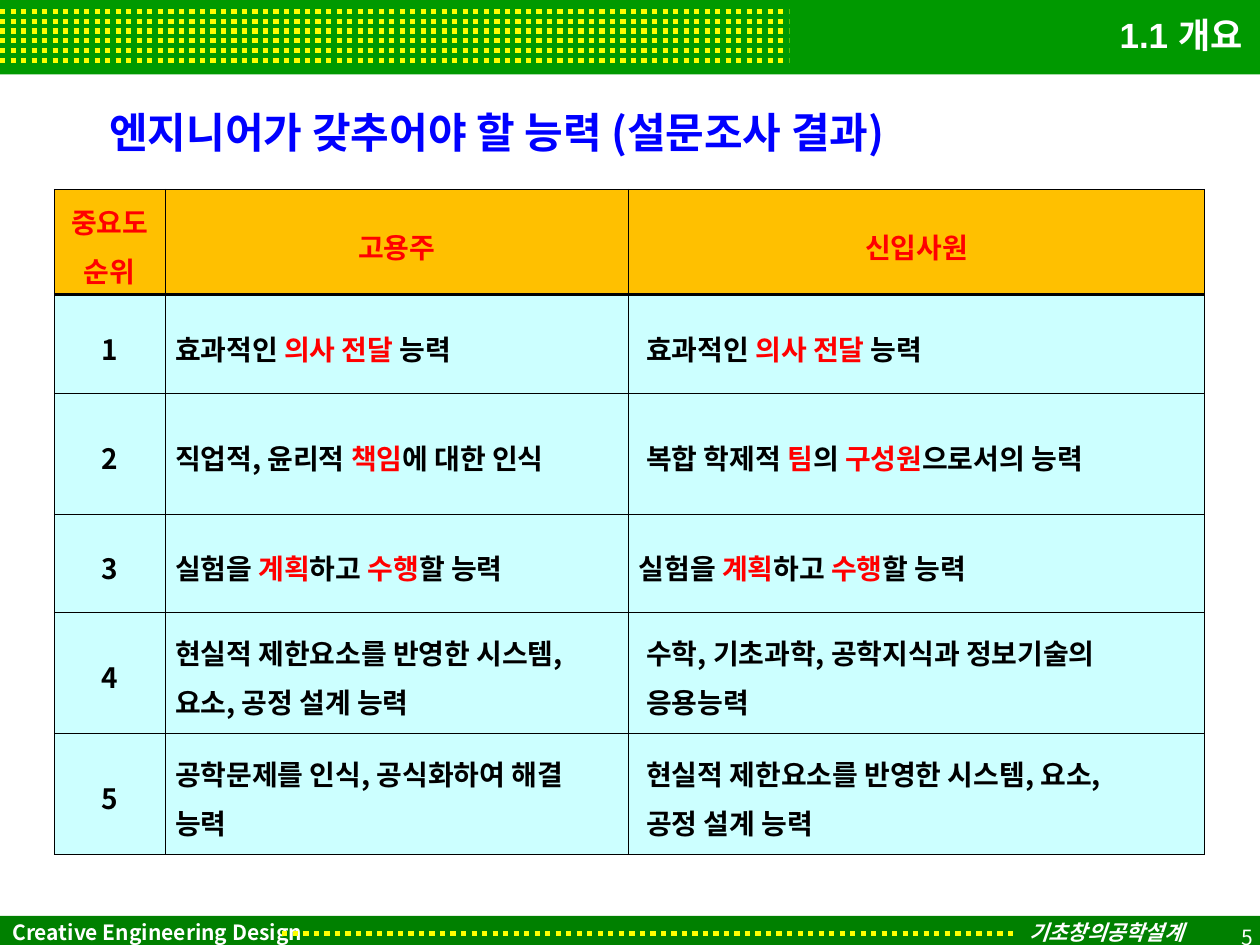
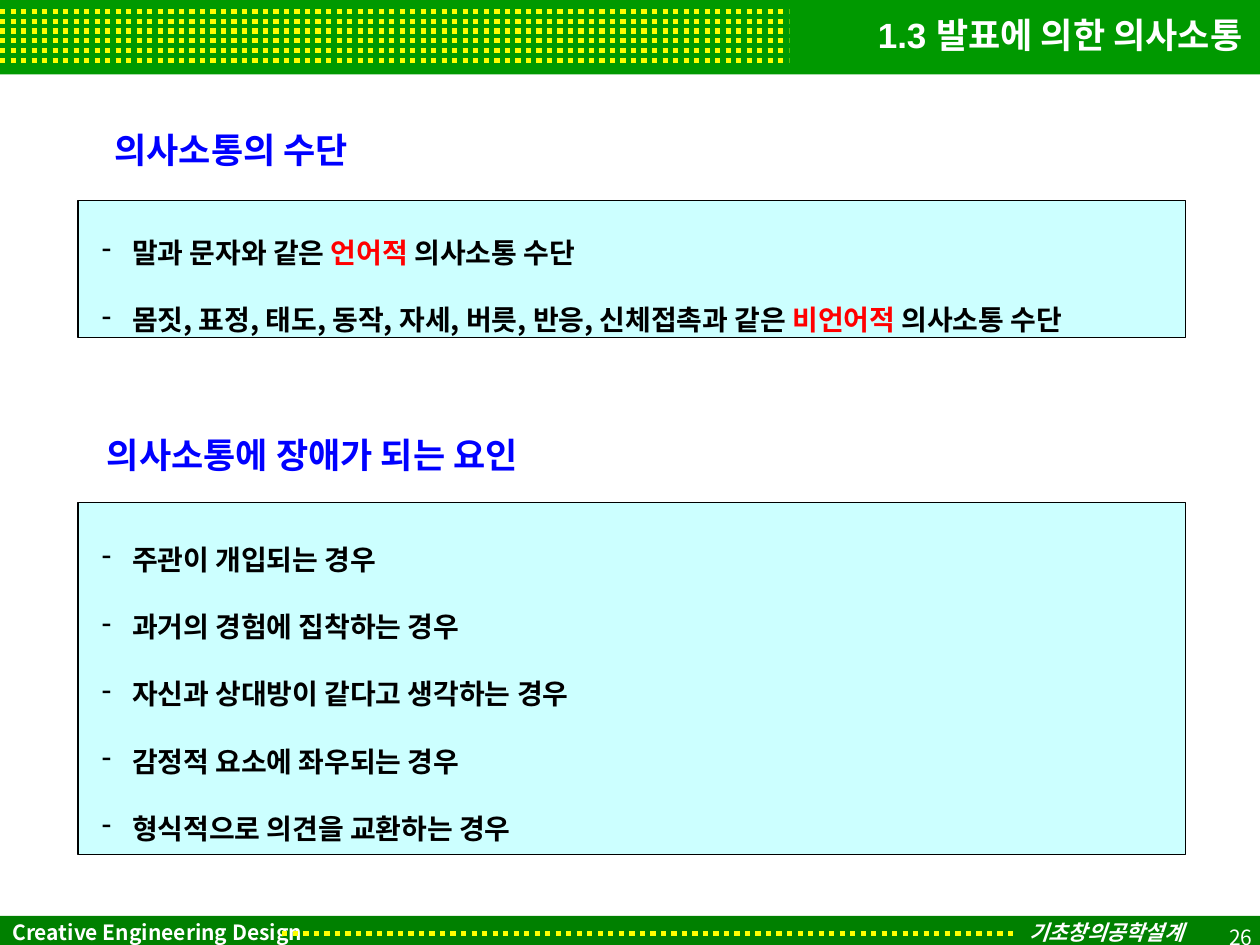
from dataclasses import dataclass
from typing import NamedTuple

import pptx
import pptx.dml.color
import pptx.enum.dml
import pptx.enum.shapes
import pptx.enum.text
import pptx.oxml
import pptx.oxml.ns
import pptx.util
from lxml import etree
from pptx.util import Inches

ALIGN = pptx.enum.text.PP_ALIGN
ANCHOR = pptx.enum.text.MSO_ANCHOR
qn = pptx.oxml.ns.qn


@dataclass(frozen=True)
class Theme:
    body_font: str = "Noto Sans CJK KR"
    title_font: str = "Arial"
    band: str = "009900"
    footer: str = "008000"
    dots: str = "FFFF00"
    white: str = "FFFFFF"
    ink: str = "000000"
    heading: str = "0000FF"
    accent: str = "FF0000"
    table_head: str = "FFC000"
    panel: str = "CCFFFF"
    size_large: int = 24
    size_title: int = 20
    size_body: int = 16
    size_footer: int = 12
    dot_width: float = 3
    panel_line: float = 0.75
    grid_line: float = 0.28
    head_line: float = 1.98


THEME = Theme()


class Box(NamedTuple):
    left: float
    top: float
    width: float
    height: float

    def lengths(self) -> list:
        return [Inches(value) for value in self]


@dataclass(frozen=True)
class TextStyle:
    size: int
    color: str
    font: str = THEME.body_font
    bold: bool = True
    italic: bool = False
    align: ALIGN = ALIGN.LEFT
    spacing: float = 1.0


TITLE = TextStyle(THEME.size_title, THEME.white, THEME.title_font, align=ALIGN.RIGHT)
HEADING_LARGE = TextStyle(THEME.size_large, THEME.heading)
HEADING = TextStyle(THEME.size_title, THEME.heading)
PANEL_TEXT = TextStyle(THEME.size_body, THEME.ink, spacing=2.0)
CELL_TEXT = TextStyle(THEME.size_body, THEME.ink, spacing=1.2)
RANK_TEXT = TextStyle(THEME.size_body, THEME.ink, align=ALIGN.CENTER, spacing=1.2)
HEAD_TEXT = TextStyle(THEME.size_body, THEME.accent, align=ALIGN.CENTER, spacing=1.2)
COURSE = TextStyle(THEME.size_footer, THEME.white)
COURSE_KOREAN = TextStyle(THEME.size_footer, THEME.white, THEME.title_font, italic=True)
PAGE_NUMBER = TextStyle(THEME.size_footer, THEME.white, bold=False,
                        align=ALIGN.RIGHT, spacing=1.3)


class Panel(NamedTuple):
    heading: str
    heading_box: Box
    box: Box
    anchor: ANCHOR
    items: list[str]


class Ability(NamedTuple):
    employer: str
    newcomer: str
    newcomer_margin: float = 0.14


ABILITIES = [
    Ability("효과적인 *의사 전달* 능력", "효과적인 *의사 전달* 능력"),
    Ability("직업적, 윤리적 *책임*에 대한 인식", "복합 학제적 *팀*의 *구성원*으로서의 능력"),
    Ability("실험을 *계획*하고 *수행*할 능력", "실험을 *계획*하고 *수행*할 능력", 0.08),
    Ability("현실적 제한요소를 반영한 시스템,\n요소, 공정 설계 능력",
            "수학, 기초과학, 공학지식과 정보기술의\n응용능력"),
    Ability("공학문제를 인식, 공식화하여 해결\n능력",
            "현실적 제한요소를 반영한 시스템, 요소,\n공정 설계 능력"),
]
TABLE_HEADS = ["중요도\n순위", "고용주", "신입사원"]
TABLE_BOX = Box(0.43, 1.5, 9.14, 5.28)
COLUMN_WIDTHS = [0.88, 3.68, 4.57]
ROW_HEIGHTS = [0.84, 0.78, 0.96, 0.78, 0.96, 0.96]

PANELS = [
    Panel("의사소통의 수단", Box(0.81, 0.97, 6.69, 0.44),
          Box(0.62, 1.59, 8.79, 1.09), ANCHOR.MIDDLE,
          ["말과 문자와 같은 *언어적* 의사소통 수단",
           "몸짓, 표정, 태도, 동작, 자세, 버릇, 반응, 신체접촉과 같은 *비언어적* 의사소통 수단"]),
    Panel("의사소통에 장애가 되는 요인", Box(0.75, 3.39, 6.69, 0.44),
          Box(0.62, 3.99, 8.79, 2.79), ANCHOR.TOP,
          ["주관이 개입되는 경우", "과거의 경험에 집착하는 경우",
           "자신과 상대방이 같다고 생각하는 경우", "감정적 요소에 좌우되는 경우",
           "형식적으로 의견을 교환하는 경우"]),
]


def rgb(code: str) -> pptx.dml.color.RGBColor:
    return pptx.dml.color.RGBColor.from_string(code)


def write(frame, text: str, style: TextStyle) -> None:
    """Fill a text frame; newlines part paragraphs, *stars* mark accented words."""
    for index, line in enumerate(text.split("\n")):
        paragraph = frame.add_paragraph() if index else frame.paragraphs[0]
        paragraph.alignment = style.align
        paragraph.line_spacing = style.spacing
        for part, words in enumerate(line.split("*")):
            if not words:
                continue
            run = paragraph.add_run()
            run.text = words
            run.font.size = pptx.util.Pt(style.size)
            run.font.bold = style.bold
            run.font.italic = style.italic
            run.font.color.rgb = rgb(THEME.accent if part % 2 else style.color)
            run.font.name = style.font
            east_asian = etree.SubElement(run.font._element, qn("a:ea"))
            east_asian.set("typeface", THEME.body_font)


def add_text(slide, box: Box, text: str, style: TextStyle,
             anchor: ANCHOR = ANCHOR.TOP) -> None:
    frame = slide.shapes.add_textbox(*box.lengths()).text_frame
    frame.word_wrap = True
    frame.vertical_anchor = anchor
    write(frame, text, style)


def add_rectangle(slide, box: Box, fill: str, outline: str | None = None):
    rectangle = slide.shapes.add_shape(
        pptx.enum.shapes.MSO_SHAPE.RECTANGLE, *box.lengths())
    rectangle.shadow.inherit = False
    rectangle.fill.solid()
    rectangle.fill.fore_color.rgb = rgb(fill)
    if outline:
        rectangle.line.color.rgb = rgb(outline)
        rectangle.line.width = pptx.util.Pt(THEME.panel_line)
    else:
        rectangle.line.fill.background()
    rectangle.text_frame.word_wrap = True
    return rectangle


def add_dotted_line(slide, start: float, end: float, height: float) -> None:
    dots = slide.shapes.add_connector(
        pptx.enum.shapes.MSO_CONNECTOR.STRAIGHT,
        Inches(start), Inches(height), Inches(end), Inches(height))
    dots.line.color.rgb = rgb(THEME.dots)
    dots.line.width = pptx.util.Pt(THEME.dot_width)
    dots.line.dash_style = pptx.enum.dml.MSO_LINE.ROUND_DOT
    etree.SubElement(dots._element.spPr, qn("a:effectLst"))


def add_framed_slide(deck, title: str, page: int):
    """Add a slide with the title band, the footer and the page number."""
    slide = deck.slides.add_slide(deck.slide_layouts[6])
    add_rectangle(slide, Box(0, 0, 10, 0.59), THEME.band)
    first, last, rows = 0.09, 0.48, 6
    for row in range(rows):
        add_dotted_line(slide, 0, 6.26, first + (last - first) * row / (rows - 1))
    footer = add_rectangle(slide, Box(0, 7.27, 10, 0.26), THEME.footer)
    footer.text_frame.vertical_anchor = ANCHOR.MIDDLE
    write(footer.text_frame, "Creative Engineering Design", COURSE)
    add_dotted_line(slide, 2.24, 8.07, 7.41)
    add_text(slide, Box(8.07, 7.29, 1.45, 0.21), "기초창의공학설계",
             COURSE_KOREAN, ANCHOR.MIDDLE)
    add_text(slide, Box(0.51, 0, 9.45, 0.54), title, TITLE, ANCHOR.MIDDLE)
    add_text(slide, Box(7.79, 7.21, 2.25, 0.4), str(page), PAGE_NUMBER, ANCHOR.MIDDLE)
    return slide


def set_borders(cell, top: float, bottom: float) -> None:
    properties = cell._tc.get_or_add_tcPr()
    widths = {"L": THEME.grid_line, "R": THEME.grid_line, "T": top, "B": bottom}
    for index, (side, width) in enumerate(widths.items()):
        border = etree.Element(qn(f"a:ln{side}"), w=str(pptx.util.Pt(width)))
        fill = etree.SubElement(border, qn("a:solidFill"))
        etree.SubElement(fill, qn("a:srgbClr"), val=THEME.ink)
        properties.insert(index, border)


def fill_cell(cell, text: str, style: TextStyle, row: int, margin: float = 0.02) -> None:
    cell.margin_right = cell.margin_top = cell.margin_bottom = Inches(0.02)
    cell.margin_left = Inches(margin)
    cell.vertical_anchor = ANCHOR.MIDDLE
    cell.fill.solid()
    cell.fill.fore_color.rgb = rgb(THEME.panel if row else THEME.table_head)
    set_borders(cell,
                top=THEME.head_line if row == 1 else THEME.grid_line,
                bottom=THEME.head_line if row == 0 else THEME.grid_line)
    write(cell.text_frame, text, style)


def add_ability_table(slide) -> None:
    table = slide.shapes.add_table(
        len(ROW_HEIGHTS), len(COLUMN_WIDTHS), *TABLE_BOX.lengths()).table
    table.first_row = table.horz_banding = False
    for column, width in zip(table.columns, COLUMN_WIDTHS):
        column.width = Inches(width)
    for row, height in zip(table.rows, ROW_HEIGHTS):
        row.height = Inches(height)
    for column, head in enumerate(TABLE_HEADS):
        fill_cell(table.cell(0, column), head, HEAD_TEXT, 0)
    for rank, ability in enumerate(ABILITIES, start=1):
        fill_cell(table.cell(rank, 0), str(rank), RANK_TEXT, rank)
        fill_cell(table.cell(rank, 1), ability.employer, CELL_TEXT, rank, 0.08)
        fill_cell(table.cell(rank, 2), ability.newcomer, CELL_TEXT, rank,
                  ability.newcomer_margin)


def add_panel(slide, panel: Panel) -> None:
    add_text(slide, panel.heading_box, panel.heading, HEADING)
    frame = add_rectangle(slide, panel.box, THEME.panel, THEME.ink).text_frame
    frame.vertical_anchor = panel.anchor
    write(frame, "\n".join(panel.items), PANEL_TEXT)
    for paragraph in frame.paragraphs:
        properties = paragraph._p.get_or_add_pPr()
        properties.set("marL", str(Inches(0.33)))
        properties.set("indent", str(Inches(-0.24)))
        etree.SubElement(properties, qn("a:buChar"), char="-")


def main() -> None:
    deck = pptx.Presentation()
    deck.slide_width, deck.slide_height = Inches(10), Inches(7.5)

    survey = add_framed_slide(deck, "1.1 개요", 5)
    add_text(survey, Box(0.77, 0.8, 7.56, 0.5),
             "엔지니어가 갖추어야 할 능력 (설문조사 결과)", HEADING_LARGE)
    add_ability_table(survey)

    communication = add_framed_slide(deck, "1.3 발표에 의한 의사소통", 26)
    for panel in PANELS:
        add_panel(communication, panel)

    deck.save("out.pptx")


if __name__ == "__main__":
    main()
